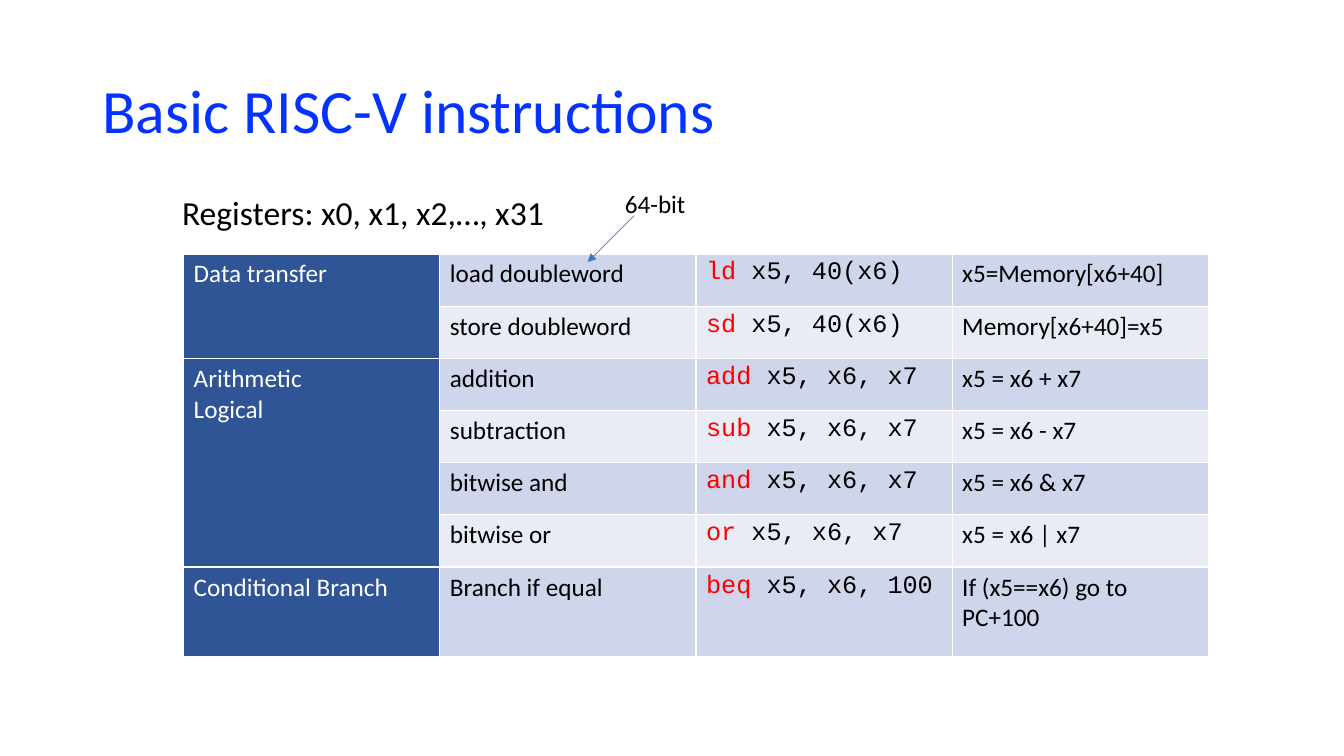
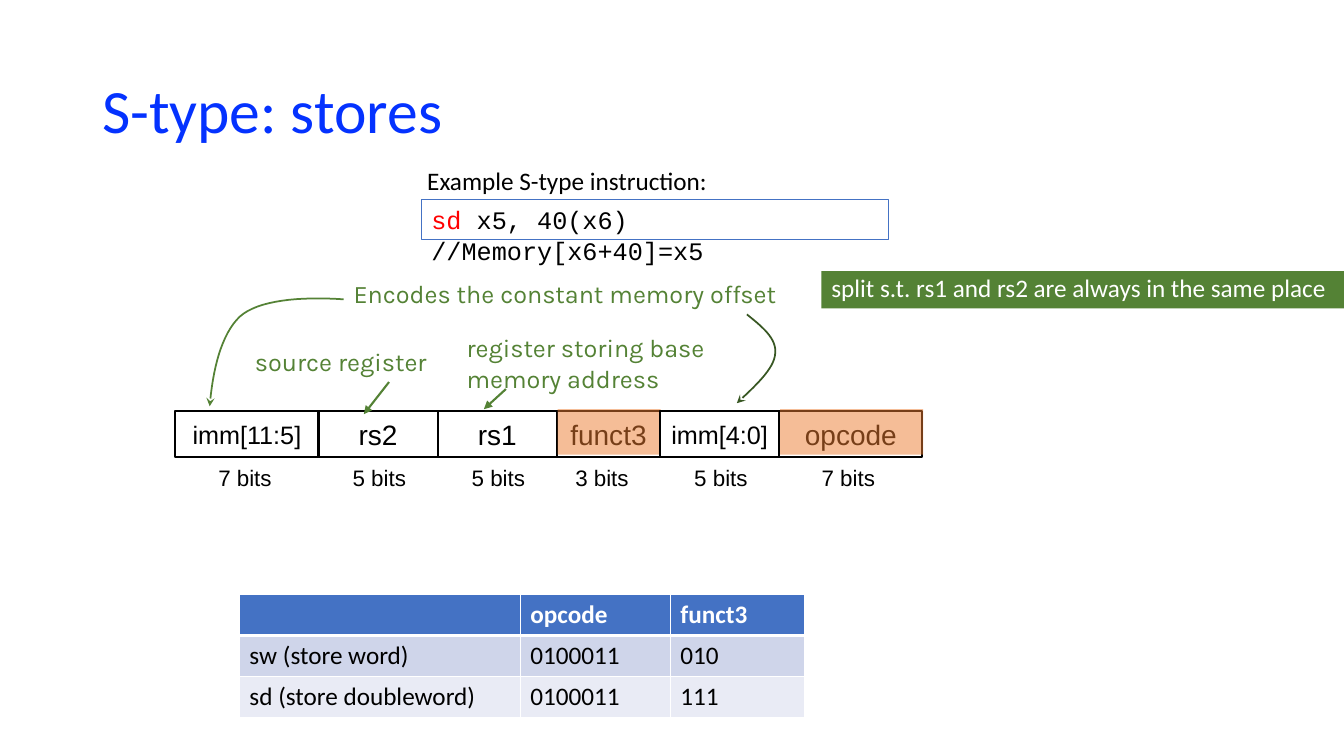
from lxml import etree
from pptx import Presentation
from pptx.dml.color import RGBColor
from pptx.enum import shapes, text
from pptx import util as u
from pptx.oxml.ns import qn


class Theme:
    title = "0432FF"
    ink = "000000"
    paper = "FFFFFF"
    keyword = "FF0000"
    blue = "4472C4"
    navy = "2F5597"
    bands = ("CFD5EA", "E9EBF5")
    green = "548235"
    forest = "385723"
    orange = "ED7D31"
    sans, code, diagram, note = "Calibri", "Courier New", "Arial", "Karla"
    title_size, lead_size, field_size, body_size, bits_size = 44, 24, 20, 18, 16


def write(frame, content, color=Theme.ink, size=Theme.body_size, font=Theme.sans,
          bold=False, align=text.PP_ALIGN.LEFT, spacing=1.0):
    if isinstance(content, tuple):
        lines, font = [content], Theme.code
    else:
        lines = [(line,) for line in content.split("\n")]
    for index, parts in enumerate(lines):
        para = frame.paragraphs[0] if index == 0 else frame.add_paragraph()
        para.alignment = align
        para.line_spacing = spacing
        para.font.name = font
        para.font.size = u.Pt(size)
        para.font.bold = bold
        para.font.color.rgb = RGBColor.from_string(color)
        for part in parts:
            span = para.add_run()
            span.text = part
        if len(parts) > 1:
            para.runs[0].font.color.rgb = RGBColor.from_string(Theme.keyword)


def add_box(page, place, content="", fill=None, line=None, weight=1, wrap=True,
            anchor=text.MSO_ANCHOR.TOP, **style):
    lengths = [u.Pt(value) for value in place]
    if fill or line:
        box = page.shapes.add_shape(shapes.MSO_SHAPE.RECTANGLE, *lengths)
        box.shadow.inherit = False
    else:
        box = page.shapes.add_textbox(*lengths)
    if fill:
        box.fill.solid()
        box.fill.fore_color.rgb = RGBColor.from_string(fill)
    else:
        box.fill.background()
    if line:
        box.line.color.rgb = RGBColor.from_string(line)
        box.line.width = u.Pt(weight)
    else:
        box.line.fill.background()
    box.text_frame.word_wrap = wrap
    box.text_frame.vertical_anchor = anchor
    if content:
        write(box.text_frame, content, **style)
    return box


deck = Presentation()
deck.slide_width, deck.slide_height = u.Pt(960), u.Pt(540)
middle = text.MSO_ANCHOR.MIDDLE
center = text.PP_ALIGN.CENTER

pages = []
for heading in ("Basic RISC-V instructions", "S-type: stores"):
    page = deck.slides.add_slide(deck.slide_layouts[6])
    add_box(page, (66, 28.8, 828, 104.4), heading, anchor=middle,
            color=Theme.title, size=Theme.title_size, spacing=0.9)
    pages.append(page)
basics, stores = pages

add_box(basics, (123, 133.2, 280, 36), "Registers: x0, x1, x2,…, x31", size=Theme.lead_size)
add_box(basics, (439.2, 131, 62, 28.8), "64-bit")

fields = [
    ("imm[11:5]", 102.2, Theme.body_size, "7 bits", 175, False),
    ("rs2", 85.2, Theme.field_size, "5 bits", 271, False),
    ("rs1", 85.2, Theme.field_size, "5 bits", 356, False),
    ("funct3", 73.6, Theme.field_size, "3 bits", 430, True),
    ("imm[4:0]", 85.2, Theme.body_size, "5 bits", 515, False),
    ("opcode", 102.2, Theme.field_size, "7 bits", 606, True),
]
left = 125.3
for name, width, size, bits, bits_center, tinted in fields:
    add_box(stores, (left, 293.8, width, 32.4), name, line=Theme.ink, weight=1.5,
            wrap=False, anchor=middle, size=size, font=Theme.diagram, align=center)
    add_box(stores, (bits_center - 26.5, 328.3, 53, 26.6), bits, wrap=False,
            size=Theme.bits_size, font=Theme.diagram, align=center)
    if tinted:
        tint = add_box(stores, (left + 0.5, 292.3, width, 32.4), fill=Theme.orange)
        tint_color = tint.element.spPr.find(".//" + qn("a:srgbClr"))
        etree.SubElement(tint_color, qn("a:alpha"), val="50000")
    left += width

add_box(stores, (586.8, 193.7, 373.2, 26.6), "split s.t. rs1 and rs2 are always in the same place",
        fill=Theme.green, anchor=middle, color=Theme.paper, spacing=0.9)
add_box(stores, (298.1, 114.5, 217, 28.8), "Example S-type instruction:")
add_box(stores, (301, 142.6, 333.4, 28.8), ("sd", " x5, 40(x6) //Memory[x6+40]=x5"),
        line=Theme.blue, weight=0.75)
for place, note in [
    ((326.2, 234, 206.6, 51.1), "register storing base memory address"),
    ((175, 244.1, 206.6, 28.8), "source register"),
    ((245.5, 195.1, 648, 28.8), "Encodes the constant memory offset"),
]:
    add_box(stores, place, note, color=Theme.green, font=Theme.note)

instructions = [
    ("Data transfer", "load doubleword", ("ld", " x5, 40(x6)"), "x5=Memory[x6+40]"),
    ("", "store doubleword", ("sd", " x5, 40(x6)"), "Memory[x6+40]=x5"),
    ("Arithmetic\nLogical", "addition", ("add", " x5, x6, x7"), "x5 = x6 + x7"),
    ("", "subtraction", ("sub", " x5, x6, x7"), "x5 = x6 - x7"),
    ("", "bitwise and", ("and", " x5, x6, x7"), "x5 = x6 & x7"),
    ("", "bitwise or", ("or", " x5, x6, x7"), "x5 = x6 | x7"),
    ("Conditional Branch", "Branch if equal", ("beq", " x5, x6, 100"), "If (x5==x6) go to PC+100"),
]
encodings = [
    ("", "opcode", "funct3"),
    ("sw (store word)", "0100011", "010"),
    ("sd (store doubleword)", "0100011", "111"),
]
tables = [
    (basics, (131.2, 181.4), [183] * 4, [37.3] * 6 + [64.2], instructions, False, [(0, 1), (2, 5)]),
    (stores, (171, 424.8), [200.6, 107.2, 96.2], [29.2] * 3, encodings, True, []),
]
for page, (left, top), widths, heights, rows, has_header, groups in tables:
    table = page.shapes.add_table(len(rows), len(widths), u.Pt(left), u.Pt(top),
                                  u.Pt(sum(widths)), u.Pt(sum(heights))).table
    table.first_row = has_header
    table.first_col = not has_header
    for column, width in zip(table.columns, widths):
        column.width = u.Pt(width)
    for row_index, row in enumerate(rows):
        table.rows[row_index].height = u.Pt(heights[row_index])
        is_header = has_header and row_index == 0
        for column_index, content in enumerate(row):
            cell = table.cell(row_index, column_index)
            is_group = not has_header and column_index == 0
            if is_header:
                fill = Theme.blue
            elif is_group:
                fill = Theme.navy
            else:
                fill = Theme.bands[(row_index - has_header) % 2]
            if content:
                write(cell.text_frame, content, bold=is_header,
                      color=Theme.paper if is_header or is_group else Theme.ink)
            properties = cell._tc.get_or_add_tcPr()
            for side in ("L", "R", "T", "B"):
                thick = (side == "B" and is_header) or (side == "T" and has_header and row_index == 1)
                border = etree.SubElement(properties, qn("a:ln" + side), w=str(u.Pt(3 if thick else 1)))
                solid = etree.SubElement(border, qn("a:solidFill"))
                etree.SubElement(solid, qn("a:srgbClr"), val=Theme.paper)
            cell.fill.solid()
            cell.fill.fore_color.rgb = RGBColor.from_string(fill)
    for first, last in groups:
        table.cell(first, 0).merge(table.cell(last, 0))

arrows = [
    (basics, [(452.9, 154.1), (419.8, 187.2)], Theme.blue, 0.5, "triangle"),
    (stores, [(361.4, 277.9), (345.6, 292.3)], Theme.green, 1.5, "triangle"),
    (stores, [(277.9, 272.9), (259.9, 295.9)], Theme.green, 1.5, "triangle"),
    (stores, [(245.5, 213.8), (213.1, 211.7), (184.3, 214.6), (171.4, 226.1),
              (157.7, 239), (151.9, 265), (149.8, 290.2)], Theme.green, 1.25, "stealth"),
    (stores, [(533.5, 224.6), (544.3, 233.3), (555.1, 241.9), (553.7, 252.7),
              (553, 263.5), (539.3, 275.8), (526.3, 288)], Theme.forest, 1.25, "stealth"),
]
steps = 16
for page, points, color, weight, head in arrows:
    if len(points) == 2:
        arrow = page.shapes.add_connector(shapes.MSO_CONNECTOR.STRAIGHT,
                                          *[u.Pt(value) for point in points for value in point])
    else:
        curve = []
        for start in range(0, len(points) - 1, 3):
            for step in range(1, steps + 1):
                t = step / steps
                weights = ((1 - t) ** 3, 3 * t * (1 - t) ** 2, 3 * t ** 2 * (1 - t), t ** 3)
                curve.append([u.Pt(sum(w * point[axis] for w, point in zip(weights, points[start:start + 4])))
                              for axis in (0, 1)])
        builder = page.shapes.build_freeform(u.Pt(points[0][0]), u.Pt(points[0][1]))
        builder.add_line_segments(curve, close=False)
        arrow = builder.convert_to_shape()
        arrow.fill.background()
    arrow.line.color.rgb = RGBColor.from_string(color)
    arrow.line.width = u.Pt(weight)
    properties = arrow.element.spPr
    etree.SubElement(properties.find(qn("a:ln")), qn("a:tailEnd"), type=head)
    etree.SubElement(properties, qn("a:effectLst"))

deck.save("out.pptx")
